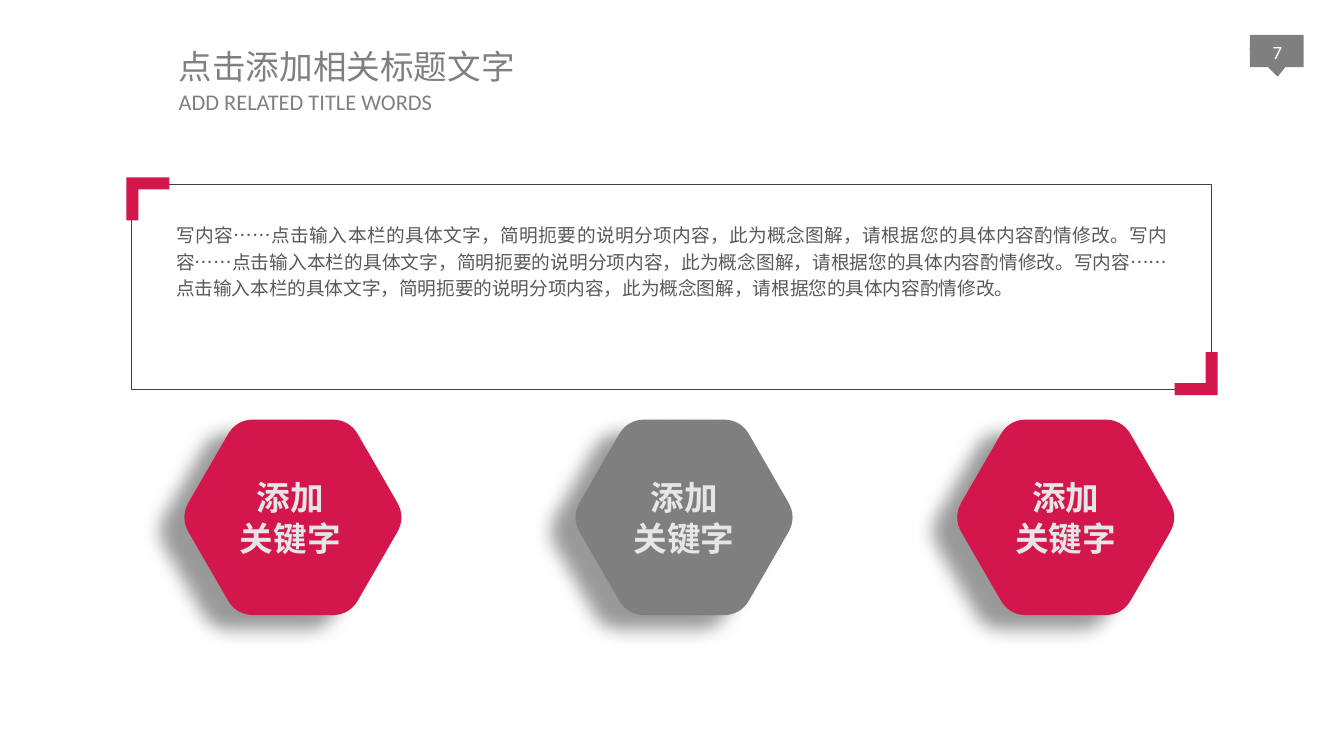
from math import cos, sin, pi
from lxml import etree
from pptx import Presentation
from pptx.dml.color import RGBColor as RGB
from pptx.enum.shapes import MSO_SHAPE as Shape
from pptx.enum.text import MSO_ANCHOR as Anchor, PP_ALIGN as Align
from pptx.oxml.ns import qn
from pptx.util import Inches, Pt

HUES = {"red": "D3174D", "gray": "7F7F7F", "head": "808080", "body": "595959",
        "edge": "404040", "pale": "E6E6E6", "white": "FFFFFF"}
CJK = "Noto Sans CJK SC"
LATIN = "Calibri"

deck = Presentation()
deck.slide_width, deck.slide_height = Inches(10), Inches(10 * 9 / 16)
slide = deck.slides.add_slide(deck.slide_layouts[5])
shapes = slide.shapes


def write(box, at, lines, size, font, hue, align=Align.LEFT, pads=(0, 0, 0, 0),
          wrap=True, bold=False, anchor=Anchor.TOP):
    """Place a text shape and fill it with one paragraph per line."""
    box.left, box.top, box.width, box.height = map(Inches, at)
    frame = box.text_frame
    frame.word_wrap, frame.vertical_anchor = wrap, anchor
    (frame.margin_left, frame.margin_top,
     frame.margin_right, frame.margin_bottom) = map(Inches, pads)
    for i, line in enumerate(lines):
        para = frame.add_paragraph() if i else frame.paragraphs[0]
        para.alignment = align
        run = para.add_run()
        run.text = line
        run.font.size, run.font.bold, run.font.name = Pt(size), bold, font
        run.font.color.rgb = RGB.from_string(HUES[hue])
        etree.SubElement(run.font._element, qn("a:ea"), typeface=font)
    return frame


def paint(shape, hue):
    shape.shadow.inherit = False
    shape.fill.solid()
    shape.fill.fore_color.rgb = RGB.from_string(HUES[hue])
    shape.line.fill.background()


# Page number tag
tag = shapes.add_shape(Shape.RECTANGLE, Inches(9.3), Inches(0.26), Inches(0.4), Inches(0.24))
tip = shapes.add_shape(Shape.ISOSCELES_TRIANGLE, Inches(9.3), Inches(0.35),
                       Inches(0.4), Inches(0.22))
tip.rotation = 176.8
for part in (tag, tip):
    paint(part, "gray")
write(shapes.add_textbox(0, 0, 0, 0), (9.32, 0.22, 0.37, 0.38), ["7"], 10, LATIN, "white",
      Align.CENTER, (0, 0, 0, 0.05), anchor=Anchor.MIDDLE)

# Headings
pads = (0.11, 0.05, 0.11, 0.05)
write(shapes.title, (1.22, 0.29, 2.74, 0.41), ["点击添加相关标题文字"], 18, CJK, "head",
      pads=pads, wrap=False)
write(shapes.add_textbox(0, 0, 0, 0), (1.22, 0.61, 2.12, 0.31), ["ADD RELATED TITLE WORDS"],
      12, LATIN, "head", pads=pads, wrap=False)

# Framed text
panel = shapes.add_shape(Shape.RECTANGLE, Inches(0.98), Inches(1.37), Inches(8.03), Inches(1.53))
panel.shadow.inherit = False
panel.fill.background()
panel.line.color.rgb = RGB.from_string(HUES["edge"])
panel.line.width = Pt(0.25)
note = "写内容……点击输入本栏的具体文字，简明扼要的说明分项内容，此为概念图解，请根据您的具体内容酌情修改。"
body = write(shapes.add_textbox(0, 0, 0, 0), (1.31, 1.63, 7.38, 0.61), [note * 3], 10, CJK,
             "body", Align.JUSTIFY)
body.paragraphs[0].line_spacing = 1.2

# Corner brackets: the second is the first turned half round
arm, bar = 0.32, 0.09
bracket = [(0, 0), (arm, 0), (arm, bar), (bar, bar), (bar, arm), (0, arm)]
for x, y, turn in ((0.94, 1.32, 1), (9.06, 2.94, -1)):
    spots = [(Inches(x + turn * u), Inches(y + turn * v)) for u, v in bracket]
    pen = shapes.build_freeform(*spots[0])
    pen.add_line_segments(spots[1:])
    paint(pen.convert_to_shape(), "red")

# Rounded hexagons: each corner is a quadratic curve between two cut points
radius, cut, steps, mid = 0.84, 0.13, 8, 3.85
peaks = [(radius * cos(k * pi / 3), radius * sin(k * pi / 3)) for k in range(6)]
share = cut / radius
hexagon = []
for k, (px, py) in enumerate(peaks):
    (ax, ay), (bx, by) = peaks[k - 1], peaks[(k + 1) % 6]
    for step in range(steps + 1):
        t = step / steps
        pull, push = share * (1 - t) ** 2, share * t ** 2
        hexagon.append((px + pull * (ax - px) + push * (bx - px),
                        py + pull * (ay - py) + push * (by - py)))

for x, left, hue in ((2.18, 1.63, "red"), (5.09, 4.56, "gray"), (7.93, 7.4, "red")):
    spots = [(Inches(x + u), Inches(mid + v)) for u, v in hexagon]
    pen = shapes.build_freeform(*spots[0])
    pen.add_line_segments(spots[1:])
    badge = pen.convert_to_shape()
    paint(badge, hue)
    effects = badge._element.spPr.find(qn("a:effectLst"))
    shade = etree.SubElement(effects, qn("a:outerShdw"), blurRad=str(Pt(10)), dist=str(Pt(15)),
                             dir=str(150 * 60000), algn="tr", rotWithShape="0")
    black = etree.SubElement(shade, qn("a:srgbClr"), val="000000")
    etree.SubElement(black, qn("a:alpha"), val="40000")
    write(shapes.add_textbox(0, 0, 0, 0), (left, 3.55, 1.06, 0.61), ["添加", "关键字"], 18, CJK,
          "pale", Align.CENTER, bold=True)

deck.save("out.pptx")
